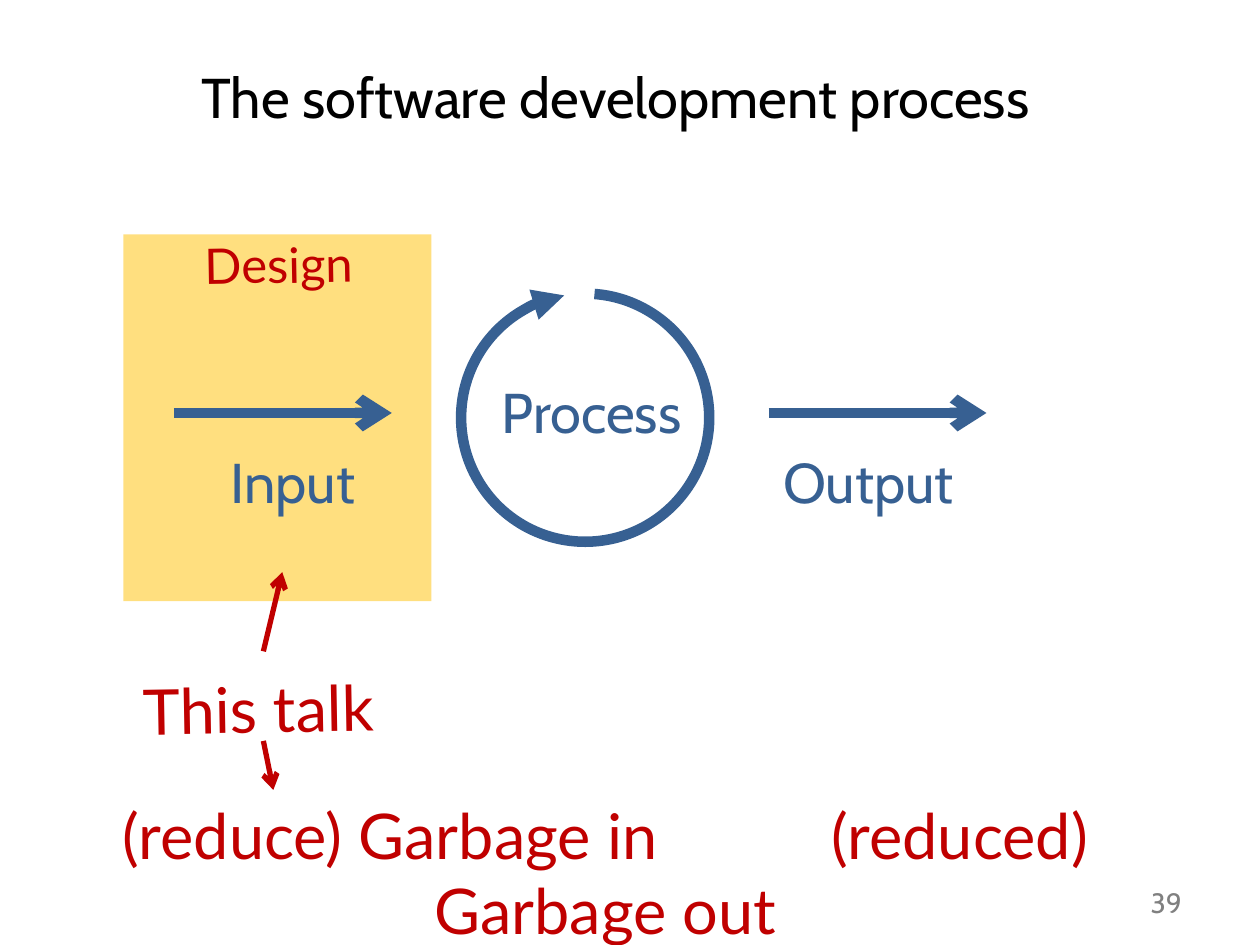
"""Build the slide on the software development process."""
from lxml import etree
from pptx import Presentation
from pptx import util as u
from pptx.dml.color import RGBColor
from pptx.enum import shapes, text
from pptx.oxml.ns import qn

BLUE = RGBColor(0x37, 0x60, 0x92)
RED = RGBColor(0xC0, 0x00, 0x00)
AMBER = RGBColor(0xFF, 0xC0, 0x00)
GRAY = RGBColor(0x80, 0x80, 0x80)
BLACK = RGBColor(0x00, 0x00, 0x00)


def place(shape, left, top, width, height):
    """Set the position and size of a shape in points."""
    shape.left, shape.top = u.Pt(left), u.Pt(top)
    shape.width, shape.height = u.Pt(width), u.Pt(height)


def write(shape, content, size=32, font="Cabin", color=BLUE,
          align=text.PP_ALIGN.CENTER, tab=None):
    """Write one formatted paragraph, with an optional tab stop in points."""
    frame = shape.text_frame
    frame.word_wrap = True
    frame.auto_size = text.MSO_AUTO_SIZE.SHAPE_TO_FIT_TEXT
    paragraph = frame.paragraphs[0]
    paragraph.alignment = align
    if tab is not None:
        stops = etree.SubElement(paragraph._p.get_or_add_pPr(), qn("a:tabLst"))
        etree.SubElement(stops, qn("a:tab"), pos=str(u.Pt(tab)), algn="l")
    run = paragraph.add_run()
    run.text = content
    run.font.size = u.Pt(size)
    run.font.name = font
    run.font.color.rgb = color


def add_label(slide, content, left, top, width, height, rotation=0, **style):
    """Add a text box with one line of formatted text."""
    box = slide.shapes.add_textbox(0, 0, 0, 0)
    place(box, left, top, width, height)
    box.rotation = rotation
    write(box, content, **style)


def style_line(shape, color, weight, head):
    """Colour a line and put an arrowhead at its end."""
    shape.line.color.rgb = color
    shape.line.width = u.Pt(weight)
    etree.SubElement(shape.line._get_or_add_ln(), qn("a:tailEnd"), type=head)


def add_arrow(slide, start, end, color, weight):
    """Add a straight arrow between two points."""
    arrow = slide.shapes.add_connector(
        shapes.MSO_CONNECTOR.STRAIGHT, *map(u.Pt, start + end))
    style_line(arrow, color, weight, "arrow")
    etree.SubElement(arrow._element.spPr, qn("a:effectLst"))


def add_highlight(slide, left, top, width, height):
    """Add a half-transparent rectangle."""
    panel = slide.shapes.add_shape(shapes.MSO_SHAPE.RECTANGLE, 0, 0, 0, 0)
    place(panel, left, top, width, height)
    panel.shadow.inherit = False
    panel.fill.solid()
    panel.fill.fore_color.rgb = AMBER
    color = panel._element.spPr.find(".//" + qn("a:srgbClr"))
    etree.SubElement(color, qn("a:alpha"), val="50000")
    panel.line.fill.background()


def add_cycle(slide, left, top, diameter):
    """Add a nearly closed circular arrow."""
    cycle = slide.shapes.add_shape(shapes.MSO_SHAPE.ARC, 0, 0, 0, 0)
    place(cycle, left, top, diameter, diameter)
    cycle.adjustments[0] = 164.59
    cycle.adjustments[1] = 156.16
    cycle.shadow.inherit = False
    cycle.fill.background()
    style_line(cycle, BLUE, 6, "triangle")


def main():
    """Build and save the presentation."""
    presentation = Presentation()
    presentation.slide_width, presentation.slide_height = u.Pt(720), u.Pt(540)
    slide = presentation.slides.add_slide(presentation.slide_layouts[5])
    title = slide.shapes.title
    place(title, 59.8, 31.7, 584, 46)
    write(title, "The software development process", color=BLACK)

    add_highlight(slide, 70.5, 134, 176, 209.5)
    for left in (99.4, 439.2):
        add_arrow(slide, (left, 236), (left + 124.5, 236), BLUE, 6)
    add_cycle(slide, 263.5, 167.8, 141.8)
    for name, left, top in (("Input", 100, 252), ("Output", 429, 252),
                            ("Process", 270.7, 212.4)):
        add_label(slide, name, left, top, 134.6, 46)

    note = {"font": "Lato", "color": RED}
    add_label(slide, "This talk", 36.7, 379.4, 222, 51, rotation=359, size=36, **note)
    add_label(slide, "(reduce) Garbage in\t(reduced) Garbage out",
              14.4, 451.4, 663, 51, size=36, tab=405, **note)
    add_arrow(slide, (150.5, 372.2), (161.3, 327), RED, 3)
    add_arrow(slide, (150.5, 423.4), (156.2, 451.4), RED, 3)
    add_label(slide, "Design", 59.8, 130.3, 198.7, 41, rotation=359, size=28, **note)
    add_label(slide, "39", 609, 502.6, 73.4, 26.6, size=16, color=GRAY,
              align=text.PP_ALIGN.RIGHT)
    presentation.save("out.pptx")


if __name__ == "__main__":
    main()
